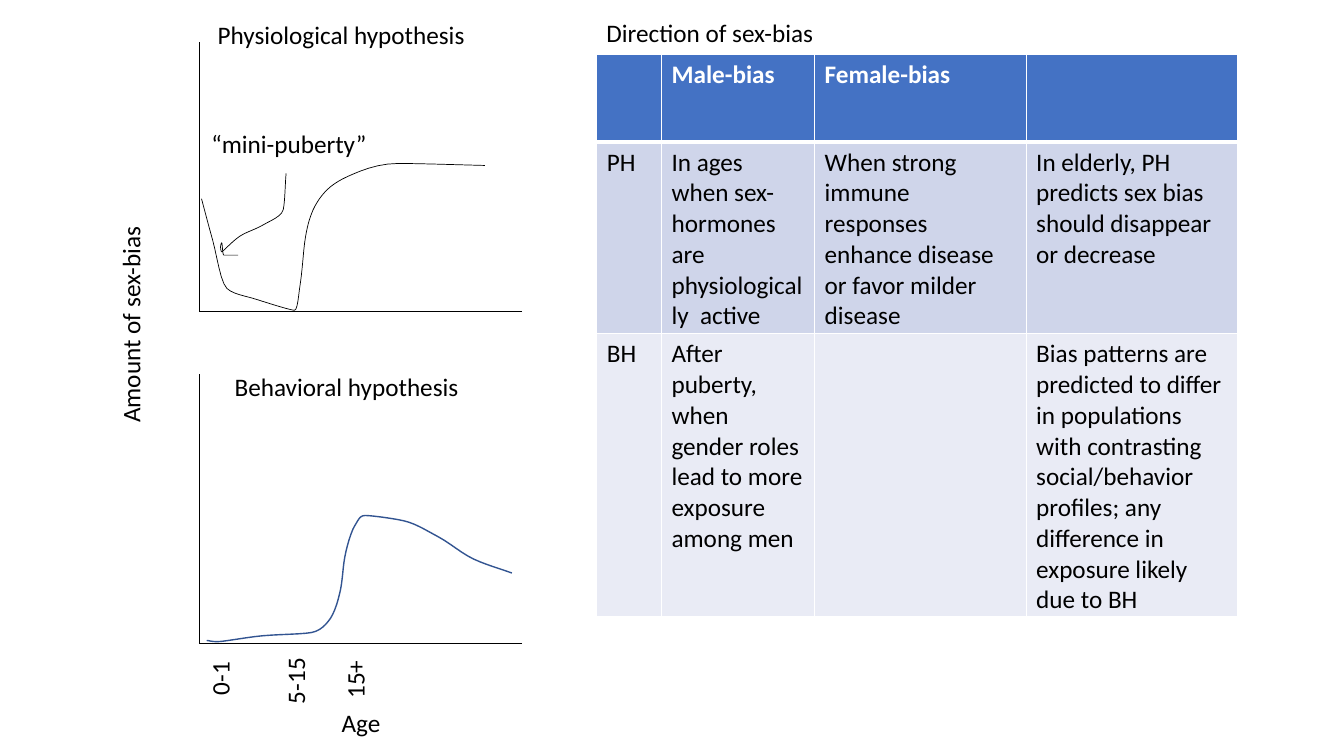
import pptx
import pptx.util
import pptx.dml.color
import pptx.enum.shapes
import pptx.enum.text
import pptx.oxml
import pptx.oxml.ns
import lxml.etree

Cm, Pt = pptx.util.Cm, pptx.util.Pt
BLACK, WHITE, BLUE = "000000", "FFFFFF", "325491"

# Labels: text, centre x, centre y, width in cm
LABELS = [
    ("Direction of sex-bias", 17.93, 0.81, 5.79),
    ("Physiological hypothesis", 8.64, 0.86, 6.81),
    ("“mini-puberty”", 7.3, 3.63, 4.45),
    ("Behavioral hypothesis", 8.84, 9.75, 6.35),
    ("Age", 9.11, 18.21, 1.5),
]
UPRIGHT_LABELS = [
    ("Amount of sex-bias", 3.29, 8.15, 5.51),
    ("0-1", 5.54, 17.08, 1.37),
    ("5-15", 7.44, 17.15, 1.68),
    ("15+", 8.94, 17.12, 1.47),
]
LABEL_HEIGHT = 1.02

# Curves: turning points as cm right of and above the graph's origin
PHYSIOLOGICAL = [
    (0.05, 2.84), (0.33, 1.8), (0.69, 0.58), (1.45, 0.3), (2.39, 0.03),  # fall
    (2.54, 0.71), (2.67, 1.88), (2.82, 2.46), (3.15, 3), (3.73, 3.4),    # rise
    (5, 3.73), (7.19, 3.68)]                                             # plateau
MINI_PUBERTY_ARROW = [
    (2.18, 3.48), (2.11, 2.57), (1.6, 2.18), (1.02, 1.9), (0.56, 1.5),   # shaft
    (0.53, 1.63), (0.56, 1.73), (0.61, 1.42), (0.97, 1.42)]              # head
BEHAVIORAL = [
    (0.18, 0.08), (0.46, 0.05), (1.6, 0.2), (2.82, 0.28),                # childhood
    (3.3, 0.64), (3.56, 1.4), (3.66, 2.18), (3.91, 2.97), (4.17, 3.23),  # rise
    (5.13, 3.1), (6.02, 2.69), (6.91, 2.13), (7.87, 1.78)]               # decline
STEPS_PER_SPAN = 6

# Graphs: top of the axis, then curves with colour and line width
AXIS_LEFT, AXIS_WIDTH, AXIS_HEIGHT = 5.03, 8.13, 6.79
GRAPHS = [
    (1.06, [(PHYSIOLOGICAL, BLACK, 0.5), (MINI_PUBERTY_ARROW, BLACK, 0.5)]),
    (9.43, [(BEHAVIORAL, BLUE, 1)]),
]

# Table: row height, row fill, cell texts
TABLE_LEFT, TABLE_TOP = 15.04, 1.37
COL_WIDTHS = [1.63, 3.86, 5.33, 5.33]
ROWS = [
    (2.21, "4472C4", ["", "Male-bias", "Female-bias", ""]),
    (4.83, "CFD5EA", [
        "PH", "In ages when sex-hormones are physiologically  active",
        "When strong immune responses enhance disease or favor milder disease ",
        "In elderly, PH predicts sex bias should disappear or decrease "]),
    (7.13, "E9EBF5", [
        "BH", "After puberty, when gender roles lead to more exposure among men", "",
        "Bias patterns are predicted to differ in populations with contrasting "
        "social/behavior profiles; any difference in exposure likely due to BH"]),
]


def rgb(color):
    return pptx.dml.color.RGBColor.from_string(color)


def write(tf, text, size=18, color=BLACK, bold=False):
    r = tf.paragraphs[0].add_run()
    r.text = text
    r.font.name, r.font.size, r.font.bold = "Calibri", Pt(size), bold
    r.font.color.rgb = rgb(color)


def add_label(text, x, y, width, rotation=0):
    s = shapes.add_textbox(Cm(x - width / 2), Cm(y - LABEL_HEIGHT / 2),
                           Cm(width), Cm(LABEL_HEIGHT))
    s.rotation = rotation
    s.text_frame.word_wrap = False
    s.text_frame.auto_size = pptx.enum.text.MSO_AUTO_SIZE.SHAPE_TO_FIT_TEXT
    write(s.text_frame, text)


def add_axis(x1, y1, x2, y2):
    s = shapes.add_connector(pptx.enum.shapes.MSO_CONNECTOR.STRAIGHT,
                             Cm(x1), Cm(y1), Cm(x2), Cm(y2))
    s.line.color.rgb, s.line.width = rgb(BLACK), Pt(0.5)
    lxml.etree.SubElement(s._element.spPr, pptx.oxml.ns.qn("a:effectLst"))


def smooth(values):
    """Interpolate with cubic spans that never overshoot a turning point."""
    gaps = [b - a for a, b in zip(values, values[1:])]
    inner = [2 * a * b / (a + b) if a * b > 0 else 0
             for a, b in zip(gaps, gaps[1:])]
    slopes = [gaps[0], *inner, gaps[-1]]
    result = [values[0]]
    for start, gap, m0, m1 in zip(values, gaps, slopes, slopes[1:]):
        for step in range(1, STEPS_PER_SPAN + 1):
            t = step / STEPS_PER_SPAN
            result.append(start + gap * t * t * (3 - 2 * t)
                          + m0 * t * (1 - t) ** 2 - m1 * t * t * (1 - t))
    return result


def add_curve(turning_points, color, width, origin_x, origin_y):
    rights, ups = zip(*turning_points)
    points = [(Cm(origin_x + right), Cm(origin_y - up))
              for right, up in zip(smooth(rights), smooth(ups))]
    fb = shapes.build_freeform(*points[0])
    fb.add_line_segments(points[1:], close=False)
    s = fb.convert_to_shape()
    s.shadow.inherit = False
    s.fill.background()
    s.line.color.rgb, s.line.width = rgb(color), Pt(width)


def set_border(cell, side, width):
    cell._tc.get_or_add_tcPr().append(pptx.oxml.parse_xml(
        f'<a:ln{side} {pptx.oxml.ns.nsdecls("a")} w="{Pt(width)}"><a:solidFill>'
        f'<a:srgbClr val="{WHITE}"/></a:solidFill></a:ln{side}>'))


prs = pptx.Presentation()
prs.slide_width, prs.slide_height = Cm(33.87), Cm(19.05)
shapes = prs.slides.add_slide(prs.slide_layouts[6]).shapes

# Graphs
for top, curves in GRAPHS:
    bottom = top + AXIS_HEIGHT
    add_axis(AXIS_LEFT, top, AXIS_LEFT, bottom)
    add_axis(AXIS_LEFT + AXIS_WIDTH, bottom, AXIS_LEFT, bottom)
    for turning_points, color, width in curves:
        add_curve(turning_points, color, width, AXIS_LEFT, bottom)

# Labels
for label in LABELS:
    add_label(*label)
for label in UPRIGHT_LABELS:
    add_label(*label, rotation=270)

# Hypothesis table
table_height = sum(height for height, fill, texts in ROWS)
table = shapes.add_table(len(ROWS), len(COL_WIDTHS), Cm(TABLE_LEFT), Cm(TABLE_TOP),
                         Cm(sum(COL_WIDTHS)), Cm(table_height)).table
for col, width in zip(table.columns, COL_WIDTHS):
    col.width = Cm(width)
for i, (height, fill, texts) in enumerate(ROWS):
    table.rows[i].height = Cm(height)
    header = i == 0
    for j, text in enumerate(texts):
        cell = table.cell(i, j)
        for side in "LRTB":
            below_header = (i, side) in [(0, "B"), (1, "T")]
            set_border(cell, side, 3 if below_header else 1)
        cell.fill.solid()
        cell.fill.fore_color.rgb = rgb(fill)
        if text:
            write(cell.text_frame, text, bold=header, color=WHITE if header else BLACK)

prs.save("out.pptx")
